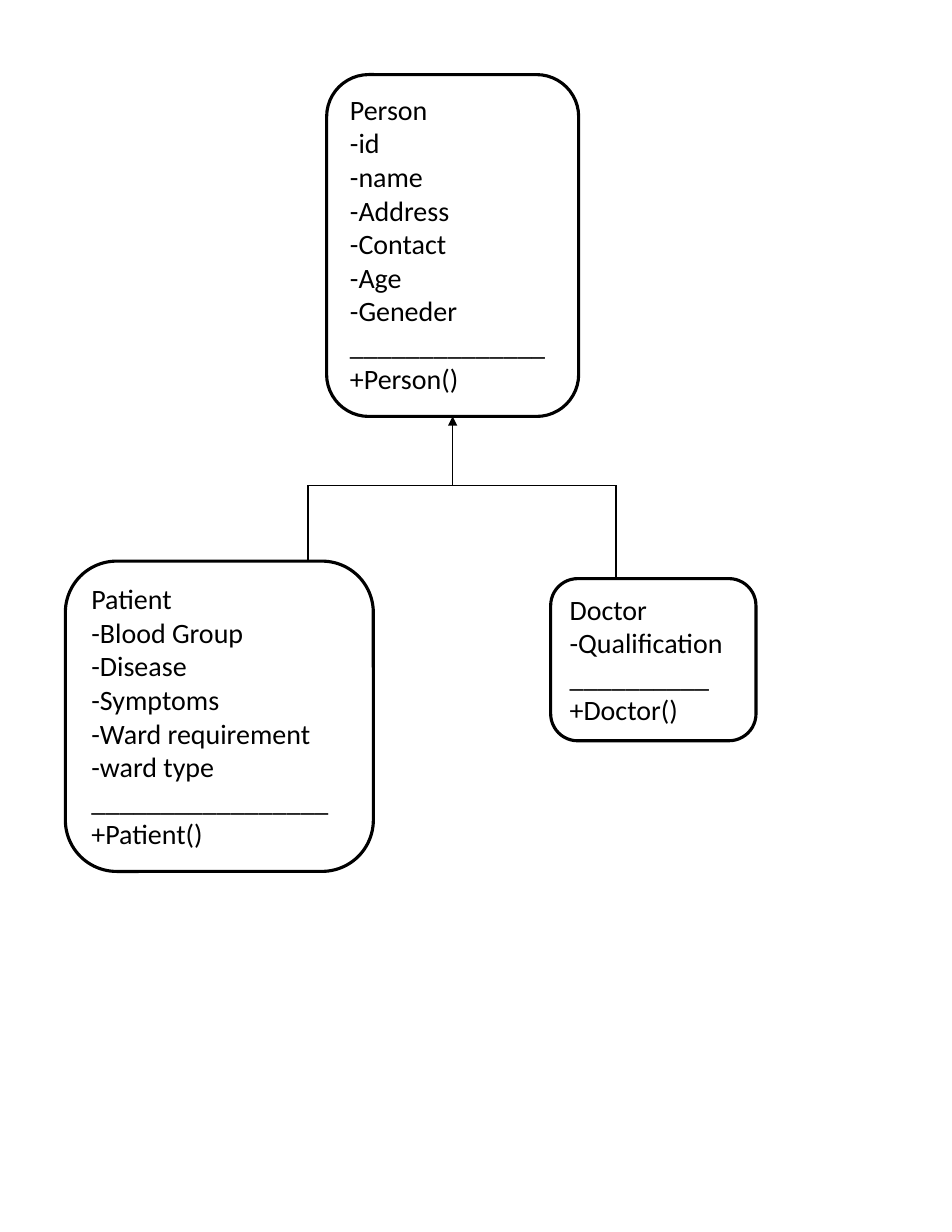
from dataclasses import dataclass

from lxml.etree import SubElement
from pptx import Presentation
from pptx.dml.color import RGBColor
from pptx.enum.shapes import MSO_CONNECTOR, MSO_SHAPE
from pptx.enum.text import MSO_ANCHOR, MSO_AUTO_SIZE, PP_ALIGN
from pptx.oxml.ns import qn
from pptx.util import Emu, Pt

PX = 9525
PAGE_WIDTH, PAGE_HEIGHT = 816, 1056
BOTTOM_SIDE = 2


@dataclass(frozen=True)
class Theme:
    ink: RGBColor = RGBColor(0, 0, 0)
    paper: RGBColor = RGBColor(255, 255, 255)
    font: str = "Calibri"
    text_size: int = 18
    border: float = 2
    wire: float = 0.75


THEME = Theme()

CLASSES = {
    "Person": {
        "box": (280, 64, 216, 293),
        "fields": ["id", "name", "Address", "Contact", "Age", "Geneder"],
        "rule": 14,
    },
    "Patient": {
        "box": (56, 481, 264, 266),
        "fields": ["Blood Group", "Disease", "Symptoms", "Ward requirement", "ward type"],
        "rule": 17,
    },
    "Doctor": {
        "box": (472, 496, 176, 139),
        "fields": ["Qualification"],
        "rule": 10,
    },
}
PARENT = "Person"
BRANCHES = {"Patient": 264, "Doctor": 528}
JUNCTION_Y = 416


def px(value):
    return Emu(value * PX)


def write_lines(frame, lines, size=THEME.text_size, color=THEME.ink, align=PP_ALIGN.LEFT):
    for index, line in enumerate(lines):
        para = frame.paragraphs[0] if index == 0 else frame.add_paragraph()
        para.alignment = align
        span = para.add_run()
        span.text = line
        span.font.name = THEME.font
        span.font.size = Pt(size)
        span.font.color.rgb = color


def add_class(page, name, box, fields, rule):
    shape = page.shapes.add_shape(MSO_SHAPE.ROUNDED_RECTANGLE, *map(px, box))
    shape.shadow.inherit = False
    shape.fill.solid()
    shape.fill.fore_color.rgb = THEME.paper
    shape.line.color.rgb = THEME.ink
    shape.line.width = Pt(THEME.border)
    frame = shape.text_frame
    frame.word_wrap = True
    frame.auto_size = MSO_AUTO_SIZE.SHAPE_TO_FIT_TEXT
    frame.vertical_anchor = MSO_ANCHOR.TOP
    write_lines(frame, [name, *(f"-{field}" for field in fields), "_" * rule, f"+{name}()"])
    return shape


def add_wire(page, start, end, arrow=False):
    wire = page.shapes.add_connector(MSO_CONNECTOR.STRAIGHT, *map(px, start + end))
    wire.line.color.rgb = THEME.ink
    wire.line.width = Pt(THEME.wire)
    properties = wire._element.spPr
    SubElement(properties, qn("a:effectLst"))
    if arrow:
        SubElement(properties.find(qn("a:ln")), qn("a:tailEnd"), type="triangle")
    return wire


def main():
    deck = Presentation()
    deck.slide_width, deck.slide_height = px(PAGE_WIDTH), px(PAGE_HEIGHT)
    page = deck.slides.add_slide(deck.slide_layouts[6])

    shapes = {name: add_class(page, name, **details) for name, details in CLASSES.items()}

    for name, x in BRANCHES.items():
        add_wire(page, (x, CLASSES[name]["box"][1]), (x, JUNCTION_Y))
    add_wire(page, (min(BRANCHES.values()), JUNCTION_Y), (max(BRANCHES.values()), JUNCTION_Y))

    left, top, width, height = CLASSES[PARENT]["box"]
    center = left + width // 2
    arrow = add_wire(page, (center, JUNCTION_Y), (center, top + height), arrow=True)
    arrow.end_connect(shapes[PARENT], BOTTOM_SIDE)

    deck.save("out.pptx")


if __name__ == "__main__":
    main()
